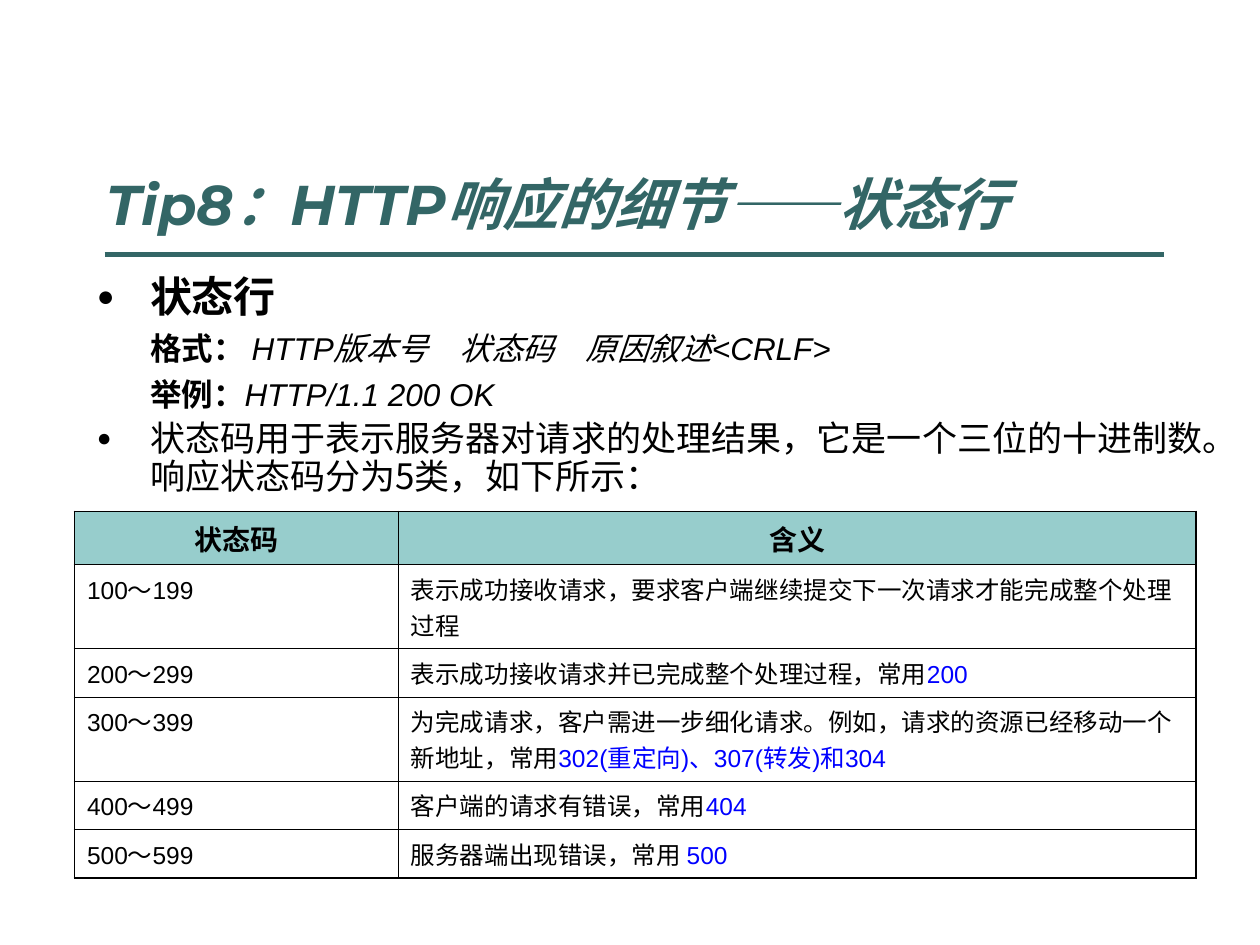
from lxml.etree import SubElement
from pptx import Presentation
from pptx.dml.color import RGBColor
from pptx.enum.text import MSO_ANCHOR as Anchor, MSO_AUTO_SIZE as AutoSize, PP_ALIGN as Align
from pptx.oxml.ns import qn
from pptx.util import Cm, Pt

COLORS = {"teal": "336666", "header": "97CDCC", "ink": "000000", "code": "0000FF"}
CJK = "Noto Sans CJK SC"
HANG = Cm(1.07)
OUTER, INNER = Pt(1.08), Pt(0.45)

# Each row: code range, meaning, status codes in common use
STATUS_ROWS = [
    ("100～199", "表示成功接收请求，要求客户端继续提交下一次请求才能完成整个处理过程", ""),
    ("200～299", "表示成功接收请求并已完成整个处理过程，常用", "200"),
    ("300～399", "为完成请求，客户需进一步细化请求。例如，请求的资源已经移动一个新地址，常用",
     "302(重定向)、307(转发)和304"),
    ("400～499", "客户端的请求有错误，常用", "404"),
    ("500～599", "服务器端出现错误，常用 ", "500"),
]
ROW_HEIGHTS = [0.99, 1.45, 0.89, 1.45, 0.89, 0.89]
COLUMN_WIDTHS = [6.53, 16.08]


def rgb(name):
    return RGBColor.from_string(COLORS[name])


def add_text(paragraph, text, size=14, font="Arial", color="ink", bold=False, italic=False):
    run = paragraph.add_run()
    run.text = text
    run.font.size = Pt(size)
    run.font.bold, run.font.italic = bold, italic
    run.font.color.rgb = rgb(color)
    run.font.name = font
    SubElement(run.font._element, qn("a:ea"), typeface=CJK)


def set_spacing(paragraph, before=0, after=0, line=1.0, align=Align.LEFT):
    paragraph.space_before, paragraph.space_after = Pt(before), Pt(after)
    paragraph.line_spacing = line
    paragraph.alignment = align


def set_bullet(paragraph, bulleted):
    properties = paragraph._p.get_or_add_pPr()
    properties.set("marL", str(HANG))
    properties.set("indent", str(-HANG if bulleted else 0))
    if not bulleted:
        SubElement(properties, qn("a:buNone"))
        return
    bullet_color = SubElement(properties, qn("a:buClr"))
    SubElement(bullet_color, qn("a:srgbClr"), val=COLORS["ink"])
    SubElement(properties, qn("a:buSzPct"), val="70000")
    SubElement(properties, qn("a:buChar"), char="●")


def place(placeholder, left, top, width, height, anchor):
    placeholder.left, placeholder.top = Cm(left), Cm(top)
    placeholder.width, placeholder.height = Cm(width), Cm(height)
    frame = placeholder.text_frame
    frame.word_wrap = True
    frame.auto_size = AutoSize.NONE
    frame.vertical_anchor = anchor
    return frame


def fill_title(title):
    heading = place(title, 1.9, 0.91, 21.39, 3.99, Anchor.BOTTOM).paragraphs[0]
    set_spacing(heading)
    add_text(heading, "Tip8：HTTP响应的细节——状态行", size=32, font="Montserrat",
             color="teal", bold=True, italic=True)


def add_rule(slide, left, right, y):
    rule = slide.shapes.add_connector(1, Cm(left), Cm(y), Cm(right), Cm(y))
    rule.line.color.rgb = rgb("teal")
    rule.line.width = Pt(3)
    SubElement(rule._element.spPr, qn("a:effectLst"))


def fill_body(body):
    frame = place(body, 1.7, 5.33, 22.81, 11.81, Anchor.TOP)

    topic = frame.paragraphs[0]
    set_spacing(topic)
    set_bullet(topic, True)
    add_text(topic, "状态行", size=24, bold=True)

    for label, syntax in [("格式： ", "HTTP版本号　状态码　原因叙述<CRLF>"),
                          ("举例：", "HTTP/1.1 200 OK")]:
        detail = frame.add_paragraph()
        set_spacing(detail, before=4.5)
        set_bullet(detail, False)
        add_text(detail, label, size=18, font=CJK, bold=True)
        add_text(detail, syntax, size=18, italic=True)

    summary = frame.add_paragraph()
    set_spacing(summary, before=5, after=5, line=0.9, align=Align.JUSTIFY)
    set_bullet(summary, True)
    add_text(summary, "状态码用于表示服务器对请求的处理结果，它是一个三位的十进制数。"
                      "响应状态码分为5类，如下所示：", size=20, font=CJK)


def set_borders(cell, outer_sides):
    properties = cell._tc.get_or_add_tcPr()
    for position, side in enumerate(["lnL", "lnR", "lnT", "lnB"]):
        width = OUTER if side in outer_sides else INNER
        border = SubElement(properties, qn(f"a:{side}"), w=str(width))
        fill = SubElement(border, qn("a:solidFill"))
        SubElement(fill, qn("a:srgbClr"), val=COLORS["ink"])
        properties.insert(position, border)


def add_status_table(slide):
    row_count = len(ROW_HEIGHTS)
    table = slide.shapes.add_table(row_count, 2, Cm(1.5), Cm(10.31),
                                   Cm(sum(COLUMN_WIDTHS)), Cm(sum(ROW_HEIGHTS))).table
    table.first_row = table.horz_banding = False
    for column, width in zip(table.columns, COLUMN_WIDTHS):
        column.width = Cm(width)
    for row, height in zip(table.rows, ROW_HEIGHTS):
        row.height = Cm(height)

    # Header
    for column, heading in enumerate(["状态码", "含义"]):
        cell = table.cell(0, column)
        cell.fill.solid()
        cell.fill.fore_color.rgb = rgb("header")
        paragraph = cell.text_frame.paragraphs[0]
        set_spacing(paragraph, align=Align.CENTER)
        add_text(paragraph, heading, size=16, bold=True)

    # Status classes
    for row, (code_range, meaning, common) in enumerate(STATUS_ROWS, start=1):
        for column, text in enumerate([code_range, meaning]):
            cell = table.cell(row, column)
            cell.fill.background()
            paragraph = cell.text_frame.paragraphs[0]
            set_spacing(paragraph)
            add_text(paragraph, text)
        if common:
            add_text(paragraph, common, color="code")

    # Heavier frame around the table
    for row in range(row_count):
        for column in range(2):
            outer_sides = ["lnR" if column else "lnL"]
            if row == 0:
                outer_sides.append("lnT")
            if row == row_count - 1:
                outer_sides.append("lnB")
            set_borders(table.cell(row, column), outer_sides)


def main():
    deck = Presentation()
    deck.slide_width, deck.slide_height = Cm(25.4), Cm(19.05)
    slide = deck.slides.add_slide(deck.slide_layouts[1])
    fill_title(slide.shapes.title)
    add_rule(slide, 2.11, 23.47, 5.13)
    fill_body(slide.placeholders[1])
    add_status_table(slide)
    deck.save("out.pptx")


if __name__ == "__main__":
    main()
